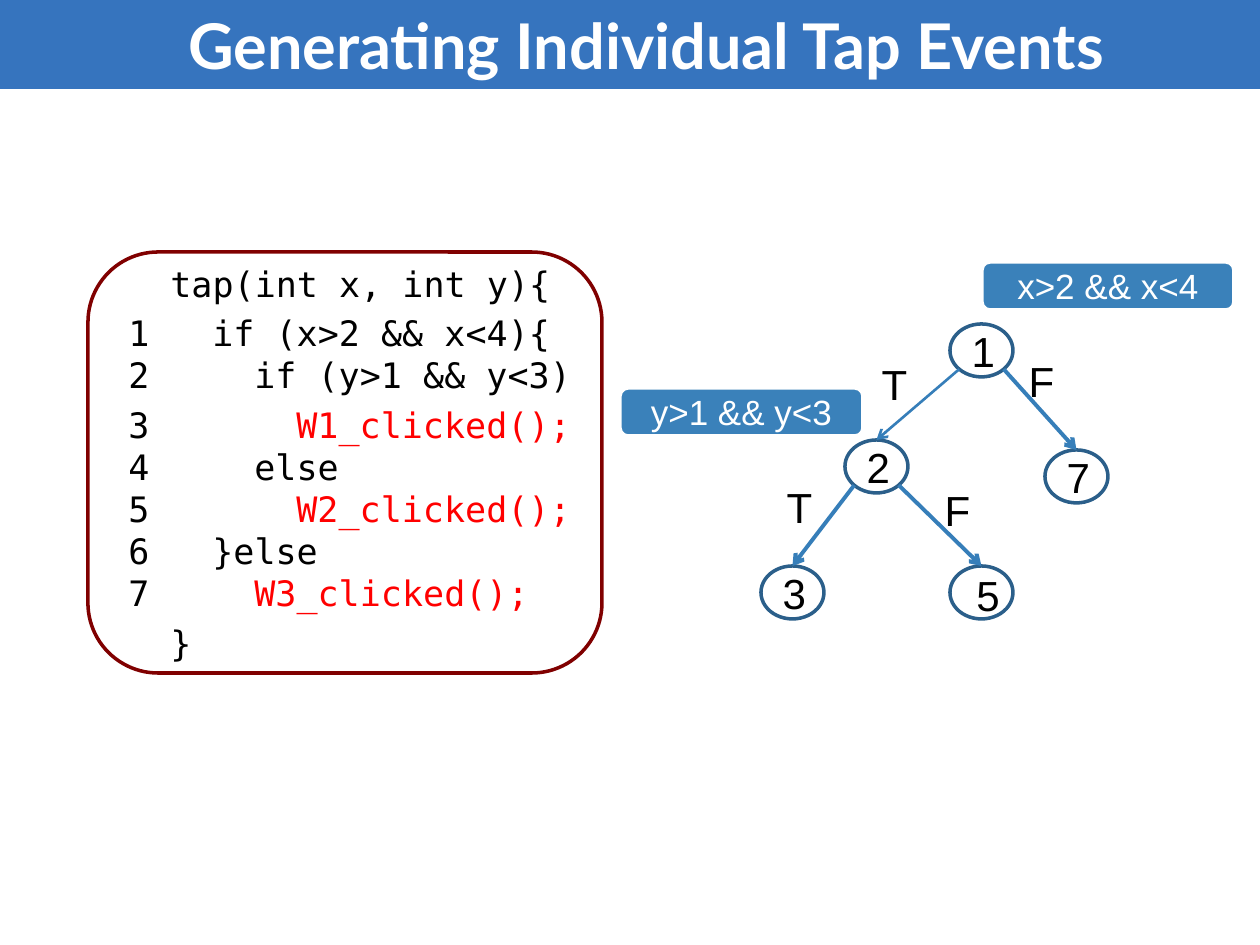
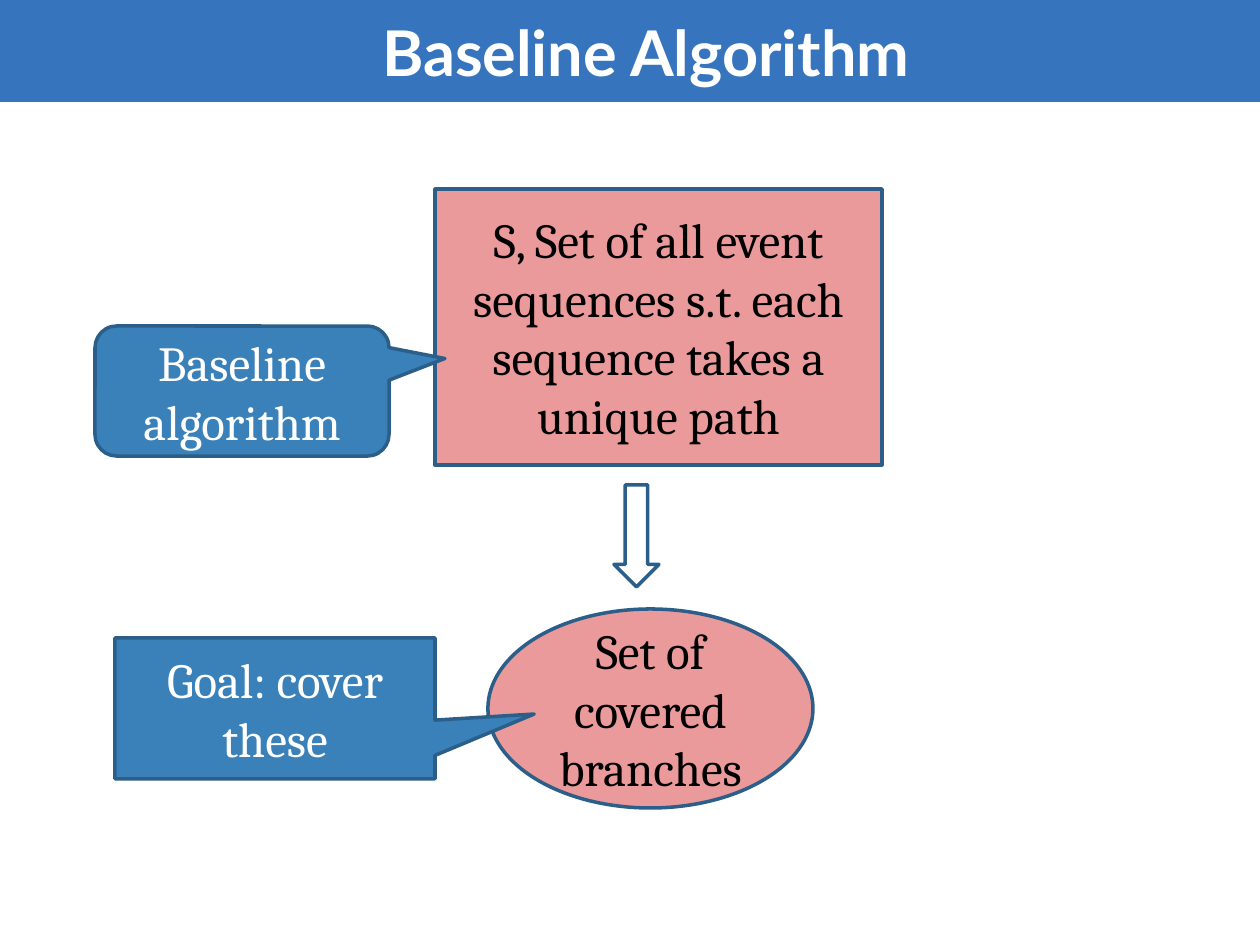
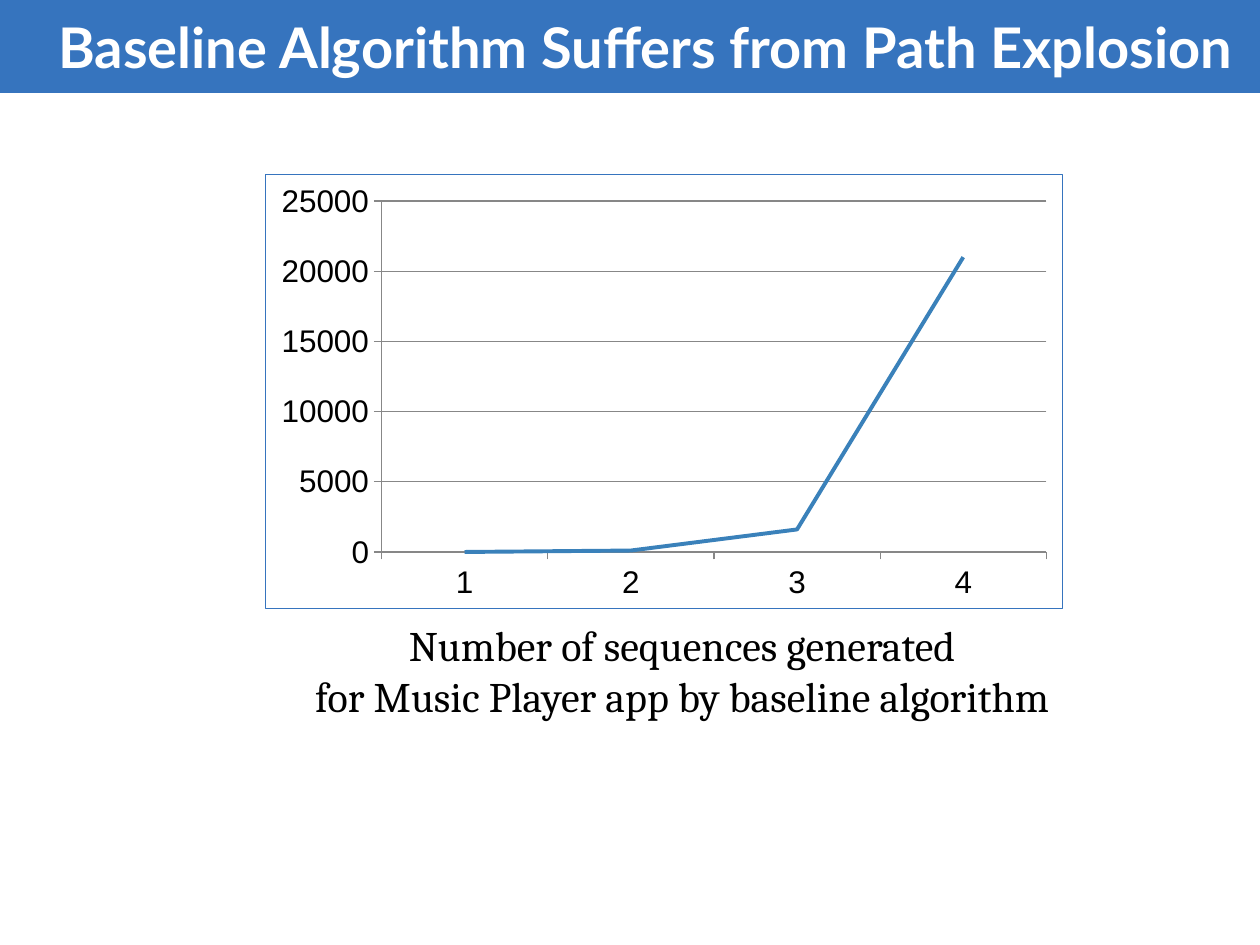
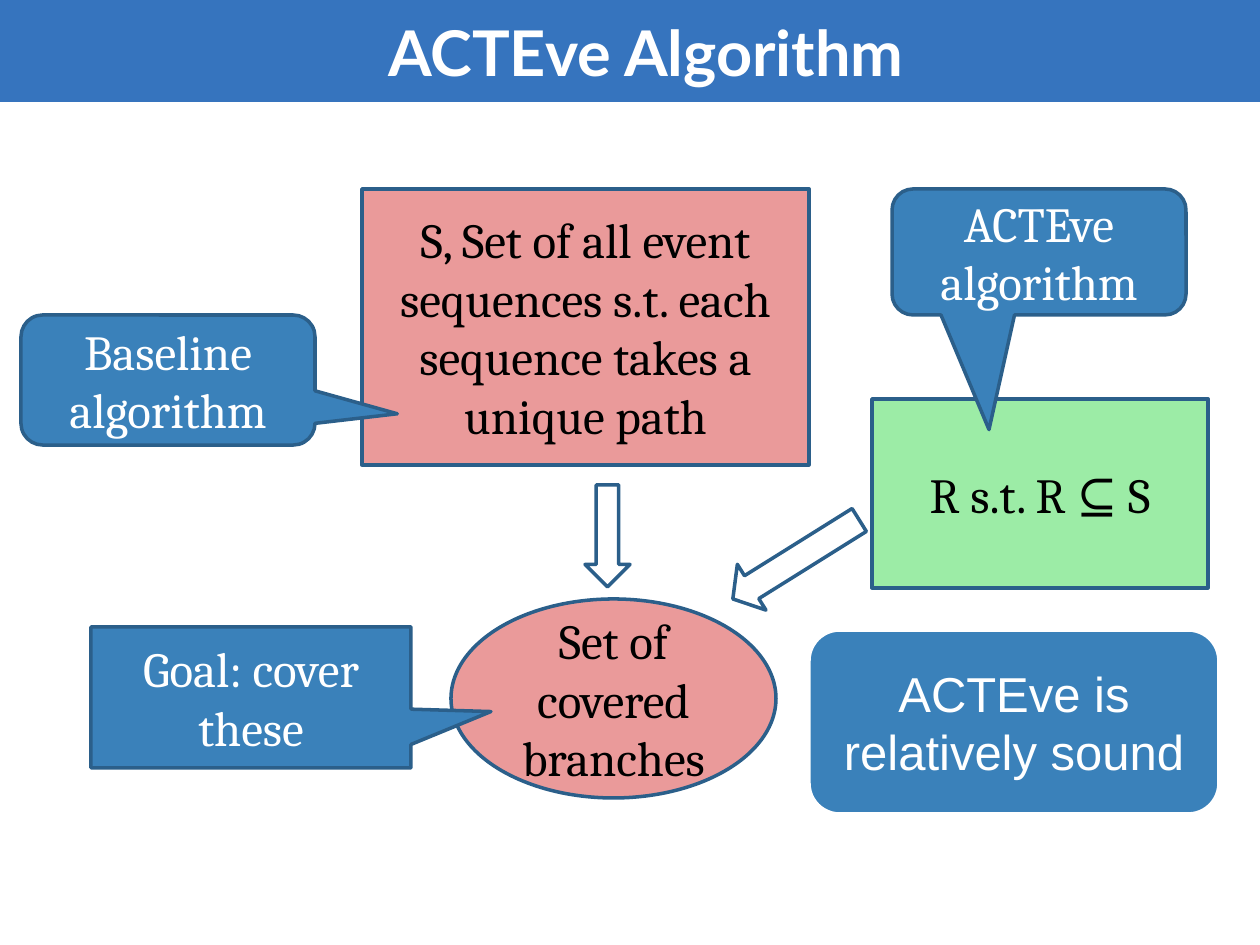
from dataclasses import dataclass
from math import sqrt

from lxml import etree
from pptx import Presentation
from pptx.chart.data import CategoryChartData
from pptx.dml.color import RGBColor
from pptx.enum.chart import XL_CHART_TYPE, XL_MARKER_STYLE, XL_TICK_MARK
from pptx.enum.shapes import MSO_CONNECTOR, MSO_SHAPE
from pptx.enum.text import MSO_ANCHOR, MSO_AUTO_SIZE, PP_ALIGN
from pptx.oxml import parse_xml
from pptx.oxml.ns import nsdecls, qn
from pptx.util import Pt

PX = 914400 / 126
SLIDE_W, SLIDE_H = 1260, 945
TITLE_ONLY = 5

RECT, ROUNDED, ELLIPSE = MSO_SHAPE.RECTANGLE, MSO_SHAPE.ROUNDED_RECTANGLE, MSO_SHAPE.OVAL
DOWN_ARROW = MSO_SHAPE.DOWN_ARROW
RECT_CALLOUT = MSO_SHAPE.RECTANGULAR_CALLOUT
ROUND_CALLOUT = MSO_SHAPE.ROUNDED_RECTANGULAR_CALLOUT
STRAIGHT = MSO_CONNECTOR.STRAIGHT
LEFT, CENTER = PP_ALIGN.LEFT, PP_ALIGN.CENTER
TOP, MIDDLE = MSO_ANCHOR.TOP, MSO_ANCHOR.MIDDLE
NO_AUTO_SIZE = MSO_AUTO_SIZE.NONE
LINE_CHART = XL_CHART_TYPE.LINE
NO_MARKER = XL_MARKER_STYLE.NONE
TICK_OUT, NO_TICK = XL_TICK_MARK.OUTSIDE, XL_TICK_MARK.NONE


@dataclass(frozen=True)
class Theme:
    band: str = "3674BE"
    blue: str = "3A81BA"
    edge: str = "367EB9"
    outline: str = "2B5F8A"
    pink: str = "EA9A9A"
    green: str = "9CECA6"
    maroon: str = "800000"
    red: str = "FF0000"
    grid: str = "878787"
    black: str = "000000"
    white: str = "FFFFFF"
    sans: str = "Arial"
    serif: str = "Cambria"
    mono: str = "DejaVu Sans Mono"
    heading: str = "Lato"
    title_size: int = 36
    long_title_size: int = 32
    diagram_size: int = 28
    label_size: int = 24
    code_size: int = 20
    chart_size: int = 18
    outline_width: float = 2


THEME = Theme()


@dataclass(frozen=True)
class Box:
    x: int
    y: int
    w: int
    h: int

    def inner(self, x, y, w, h):
        """A box placed relative to this one's top left corner."""
        return Box(self.x + x, self.y + y, w, h)

    def emu(self):
        return [emu(n) for n in (self.x, self.y, self.w, self.h)]


def emu(px):
    return round(px * PX)


def rgb(code):
    return RGBColor.from_string(code)


def apply(target, formats):
    for name, value in formats.items():
        setattr(target, name, value)


def style_font(font, face, size, color, bold=False):
    apply(font, {"name": face, "size": Pt(size), "bold": bold})
    font.color.rgb = rgb(color)


def style_line(line, color, width):
    line.color.rgb = rgb(color)
    line.width = Pt(width)


def write(frame, lines, face, size, color, align=CENTER, anchor=MIDDLE,
          wrap=True, pad=6, bold=False):
    apply(frame, {"word_wrap": wrap, "vertical_anchor": anchor,
                  "auto_size": NO_AUTO_SIZE,
                  "margin_top": emu(pad), "margin_bottom": emu(pad)})
    for index, line in enumerate(lines):
        paragraph = frame.add_paragraph() if index else frame.paragraphs[0]
        paragraph.alignment = align
        run = paragraph.add_run()
        run.text = line
        style_font(run.font, face, size, color, bold)


def draw(slide, kind, box, fill=None, line=None, adjust=()):
    shape = slide.shapes.add_shape(kind, *box.emu())
    shape.shadow.inherit = False
    if fill:
        shape.fill.solid()
        shape.fill.fore_color.rgb = rgb(fill)
    else:
        shape.fill.background()
    if line:
        style_line(shape.line, line, THEME.outline_width)
    else:
        shape.line.fill.background()
    for index, value in enumerate(adjust):
        shape.adjustments[index] = value
    return shape


def draw_arrow(slide, start, end, width):
    arrow = slide.shapes.add_connector(STRAIGHT, *map(emu, start + end))
    style_line(arrow.line, THEME.edge, width)
    properties = arrow.element.spPr
    etree.SubElement(properties.find(qn("a:ln")), qn("a:tailEnd"), type="arrow")
    etree.SubElement(properties, qn("a:effectLst"))


def titled_slide(deck, text, height, size=THEME.title_size, pad=13):
    """Add a slide whose title fills a coloured band across the top."""
    slide = deck.slides.add_slide(deck.slide_layouts[TITLE_ONLY])
    title = slide.shapes.title
    apply(title, dict(zip(("left", "top", "width", "height"),
                          Box(0, 0, SLIDE_W, height).emu())))
    title.fill.solid()
    title.fill.fore_color.rgb = rgb(THEME.band)
    write(title.text_frame, [text], THEME.heading, size, THEME.white, pad=pad, bold=True)
    title.text_frame.paragraphs[0]._p.get_or_add_pPr().set("indent", str(emu(32)))
    return slide


# Each tab is one level of code indentation.
CODE = [
    ["\ttap(int x, int y){"],
    ["1\t\tif (x>2 && x<4){", "2\t\t\tif (y>1 && y<3)"],
    ["3\t\t\t\tW1_clicked();", "4\t\t\telse", "5\t\t\t\tW2_clicked();",
     "6\t\t}else", "7\t\t\tW3_clicked();"],
    ["\t}"],
]


def add_code_run(paragraph, text, color):
    run = paragraph.add_run()
    run.text = text
    style_font(run.font, THEME.mono, THEME.code_size, color)


def code_panel(slide, box):
    draw(slide, ROUNDED, box, THEME.white, THEME.maroon)
    listing = slide.shapes.add_textbox(*box.inner(28, 4, 557, 416).emu()).text_frame
    listing.word_wrap = True
    for index, lines in enumerate(CODE):
        paragraph = listing.add_paragraph() if index else listing.paragraphs[0]
        paragraph.space_before = Pt(4.4)
        stops = etree.SubElement(paragraph._p.get_or_add_pPr(), qn("a:tabLst"))
        for level in range(1, 5):
            etree.SubElement(stops, qn("a:tab"), pos=str(emu(42 * level)), algn="l")
        for row, line in enumerate(lines):
            if row:
                paragraph.add_line_break()
            before, widget, call = line.partition("W")
            add_code_run(paragraph, before, THEME.black)
            if widget:
                add_code_run(paragraph, widget + call, THEME.red)


NODE_W, NODE_H = 63, 53
NODES = {"1": (330, 62), "7": (425, 188), "2": (225, 178), "3": (141, 304), "5": (330, 304)}
# parent, child, side, line width, label and its place
BRANCHES = [
    ("2", "5", 1, 2.25, "F", (309, 213)),
    ("2", "3", -1, 2.25, "T", (151, 210)),
    ("1", "7", 1, 2.25, "F", (393, 84)),
    ("1", "2", -1, 1.5, "T", (246, 87)),
]
CONDITIONS = [("x>2 && x<4", (362, 0, 252, 48)), ("y>1 && y<3", (0, 126, 243, 48))]


def path_tree(slide, box):
    label_style = (THEME.sans, THEME.label_size, THEME.black)
    for *_, label, place in BRANCHES:
        tag = draw(slide, ROUNDED, box.inner(*place, 73, 70), THEME.white)
        write(tag.text_frame, [label], *label_style, align=LEFT)

    nodes = {name: box.inner(*place, NODE_W, NODE_H) for name, place in NODES.items()}
    for name, place in nodes.items():
        node = draw(slide, ELLIPSE, place, THEME.white, THEME.outline)
        if name != "5":
            write(node.text_frame, [name], *label_style)
    last_number = slide.shapes.add_textbox(*box.inner(344, 302, 49, 63).emu())
    write(last_number.text_frame, ["5"], *label_style, align=LEFT, anchor=TOP, wrap=False)

    for parent, child, side, width, *_ in BRANCHES:
        source, target = nodes[parent], nodes[child]
        start = (source.x + NODE_W / 2 * (1 + side / sqrt(2)),
                 source.y + NODE_H / 2 * (1 + 1 / sqrt(2)))
        draw_arrow(slide, start, (target.x + NODE_W / 2, target.y), width)

    for condition, place in CONDITIONS:
        tag = draw(slide, ROUNDED, box.inner(*place), THEME.blue, THEME.white)
        write(tag.text_frame, [condition], THEME.sans, THEME.code_size, THEME.white)


def block(slide, kind, box, text, fill, color=THEME.black, adjust=()):
    shape = draw(slide, kind, box, fill, THEME.outline, adjust)
    write(shape.text_frame, [text], THEME.serif, THEME.diagram_size, color)


def callout(slide, kind, box, text, tip):
    block(slide, kind, box, text, THEME.blue, THEME.white, tip)


def coverage_flow(slide, box, arrow_x, covered_at, baseline_at, baseline_tip, goal_at, goal_tip):
    """Draw event sequences leading to covered branches, with two callouts."""
    block(slide, ELLIPSE, box.inner(*covered_at, 325, 199),
          "Set of covered branches", THEME.pink)
    block(slide, RECT, box.inner(0, 0, 447, 276),
          "S, Set of all event sequences s.t. each sequence takes a unique path", THEME.pink)
    draw(slide, DOWN_ARROW, box.inner(arrow_x, 296, 45, 102), line=THEME.outline)
    callout(slide, ROUND_CALLOUT, box.inner(*baseline_at, 294, 130),
            "Baseline algorithm", baseline_tip)
    callout(slide, RECT_CALLOUT, box.inner(*goal_at, 320, 141),
            "Goal: cover these", goal_tip)


def reduced_set(slide, box):
    """Draw the smaller set R, its arrow, its callout and the closing claim."""
    arrow = draw(slide, DOWN_ARROW, box.inner(0, 296, 54, 149),
                 line=THEME.outline, adjust=(0.5, 0.41))
    arrow.rotation = 58
    block(slide, RECT, box.inner(103, 210, 336, 189), "R s.t. R ⊆ S", THEME.green)
    callout(slide, ROUND_CALLOUT, box.inner(123, 0, 294, 126),
            "ACTEve algorithm", (-0.17, 1.41))
    claim = draw(slide, ROUNDED, box.inner(40, 441, 410, 184), THEME.blue, THEME.white)
    write(claim.text_frame, ["ACTEve is relatively sound"],
          THEME.sans, THEME.diagram_size, THEME.white)


def sequence_chart(slide, box):
    data = CategoryChartData()
    data.categories = ["1", "2", "3", "4"]
    data.add_series("Series 1", (0, 100, 1600, 21000))
    chart = slide.shapes.add_chart(LINE_CHART, *box.emu(), data).chart
    apply(chart, {"has_legend": False, "has_title": False})
    style_font(chart.font, THEME.sans, THEME.chart_size, THEME.black)
    for axis in (chart.category_axis, chart.value_axis):
        apply(axis, {"major_tick_mark": TICK_OUT, "minor_tick_mark": NO_TICK})
        style_line(axis.format.line, THEME.grid, 0.75)
    chart.value_axis.has_major_gridlines = True
    style_line(chart.value_axis.major_gridlines.format.line, THEME.grid, 0.75)

    chart.plots[0].vary_by_categories = False
    sequences = chart.plots[0].series[0]
    sequences.smooth = False
    sequences.marker.style = NO_MARKER
    style_line(sequences.format.line, THEME.blue, 2.25)

    border = parse_xml(
        f'<c:spPr {nsdecls("c", "a")}><a:noFill/><a:ln w="{Pt(0.75)}"><a:solidFill>'
        f'<a:srgbClr val="{THEME.band}"/></a:solidFill></a:ln></c:spPr>')
    chart.element.find(qn("c:chart")).addnext(border)


def chart_caption(slide, box):
    caption = slide.shapes.add_textbox(*box.emu())
    write(caption.text_frame,
          ["Number of sequences generated", "for Music Player app by baseline algorithm"],
          THEME.serif, THEME.label_size, THEME.black, anchor=TOP, pad=13)


def main():
    deck = Presentation()
    apply(deck, {"slide_width": emu(SLIDE_W), "slide_height": emu(SLIDE_H)})

    tap_events = titled_slide(deck, "Generating Individual Tap Events", 89, pad=6)
    code_panel(tap_events, Box(88, 252, 514, 421))
    path_tree(tap_events, Box(620, 262, 614, 366))

    baseline = titled_slide(deck, "Baseline Algorithm", 102)
    coverage_flow(baseline, Box(435, 189, 447, 619), arrow_x=179, covered_at=(53, 420),
                  baseline_at=(-340, 137), baseline_tip=(0.69, -0.25),
                  goal_at=(-320, 449), goal_tip=(0.81, 0.04))

    explosion = titled_slide(deck, "Baseline Algorithm Suffers from Path Explosion", 93,
                             THEME.long_title_size)
    chart_caption(explosion, Box(262, 607, 840, 127))
    sequence_chart(explosion, Box(265, 174, 798, 435))

    acteve = titled_slide(deck, "ACTEve Algorithm", 102)
    coverage_flow(acteve, Box(362, 189, 447, 609), arrow_x=223, covered_at=(89, 410),
                  baseline_at=(-341, 126), baseline_tip=(0.78, 0.26),
                  goal_at=(-271, 438), goal_tip=(0.75, 0.1))
    reduced_set(acteve, Box(769, 189, 450, 625))

    deck.save("out.pptx")


if __name__ == "__main__":
    main()
